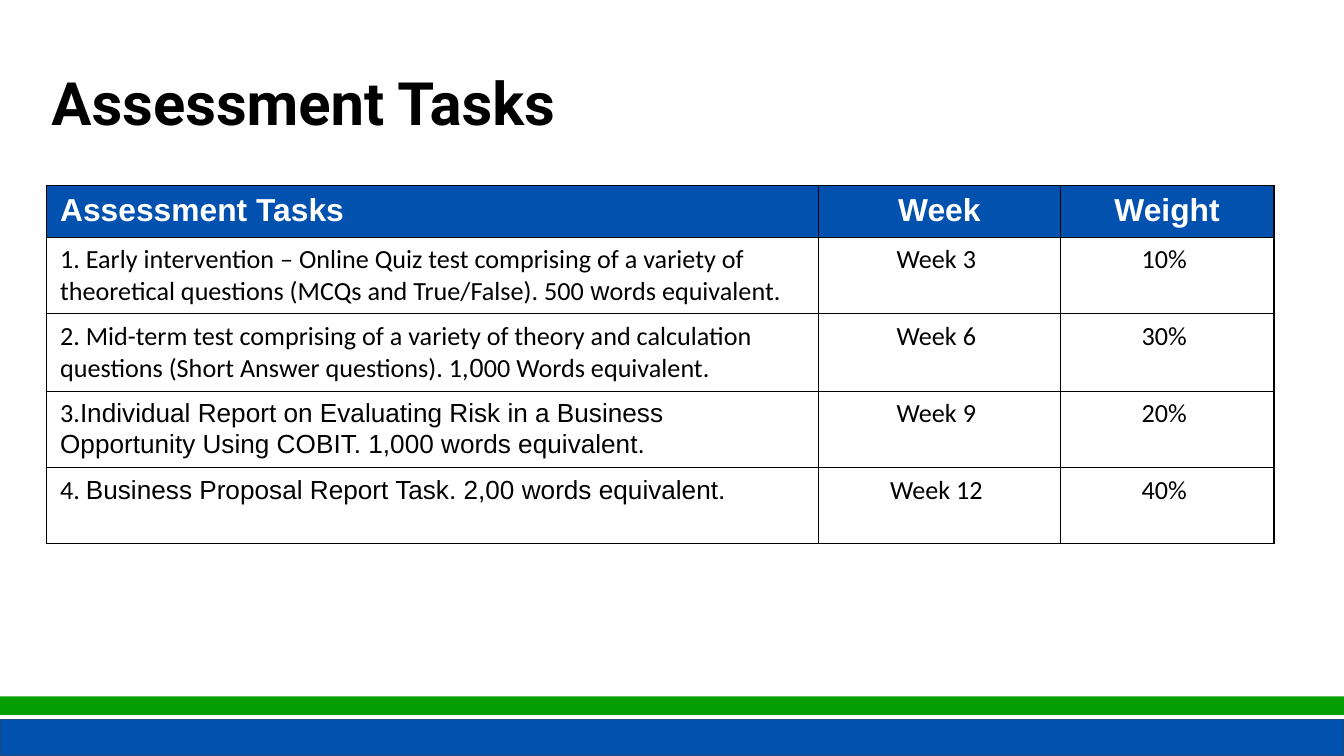
from pptx import Presentation
from pptx.dml.color import RGBColor
from pptx.enum.shapes import MSO_SHAPE
from pptx.enum.text import MSO_ANCHOR, MSO_AUTO_SIZE, PP_ALIGN
from pptx.oxml import parse_xml
from pptx.oxml.ns import nsdecls
from pptx.util import Pt

COLORS = {
    "blue": "0251AF",
    "green": "059D05",
    "outline": "1F497D",
    "text": "000000",
    "paper": "FFFFFF",
}
SLIDE_WIDTH, SLIDE_HEIGHT = 720, 405
COLUMN_WIDTHS = [413.5, 129.5, 114.5]
ROW_HEIGHTS = [27.5, 41, 41.5, 41, 40.5]

HEADINGS = ["Assessment Tasks ", "Week", "Weight"]
TASKS = [
    ([("1. Early intervention – Online Quiz test comprising of a variety of "
       "theoretical questions (MCQs and True/False). 500 ", "Calibri"),
      ("w", "Arial"), ("ords equivalent. ", "Calibri")], "Week 3 ", "10% "),
    ([("2. Mid-term test comprising of a variety of theory and calculation "
       "questions (Short Answer questions). 1,", "Calibri"),
      ("0", "Arial"), ("00 Words equivalent. ", "Calibri")], "Week 6 ", "30% "),
    ([("3.", "Calibri"),
      ("Individual Report on Evaluating Risk in a Business Opportunity Using "
       "COBIT. 1,000 words equivalent.", "Arial")], "Week 9 ", "20% "),
    ([("4. ", "Calibri"),
      ("Business Proposal Report Task. 2,00 words equivalent.", "Arial")],
     "Week 12 ", "40% "),
]


def rgb(name):
    return RGBColor.from_string(COLORS[name])


def add_run(paragraph, text, font_name, size, color, bold=False):
    run = paragraph.add_run()
    run.text = text
    font = run.font
    font.name, font.size, font.bold = font_name, Pt(size), bold
    font.color.rgb = rgb(color)


def place_title(slide, left, top, width, height):
    title = slide.shapes.title
    title.left, title.top = Pt(left), Pt(top)
    title.width, title.height = Pt(width), Pt(height)
    frame = title.text_frame
    frame.margin_left = frame.margin_top = frame.margin_right = frame.margin_bottom = 0
    frame.vertical_anchor = MSO_ANCHOR.TOP
    frame.word_wrap = True
    frame.auto_size = MSO_AUTO_SIZE.SHAPE_TO_FIT_TEXT
    paragraph = frame.paragraphs[0]
    paragraph.alignment = PP_ALIGN.LEFT
    paragraph.line_spacing = 1.2
    add_run(paragraph, "Assessment Tasks", "Roboto", 32, "text", True)


def add_band(slide, left, top, width, height, color, outline=None):
    band = slide.shapes.add_shape(
        MSO_SHAPE.RECTANGLE, Pt(left), Pt(top), Pt(width), Pt(height))
    band.shadow.inherit = False
    band.fill.solid()
    band.fill.fore_color.rgb = rgb(color)
    if outline:
        band.line.color.rgb = rgb(outline)
        band.line.width = Pt(0.75)
    else:
        band.line.fill.background()


def add_footer(slide, left, top, width, height):
    blue_height = 19.5
    add_band(slide, left, top + height - blue_height, width, blue_height, "blue", "outline")
    add_band(slide, left, top, width, 10, "green")


def format_cell(cell, fill, side_margin):
    properties = cell._tc.get_or_add_tcPr()
    for side in ("lnL", "lnR", "lnT", "lnB"):
        properties.append(parse_xml(
            f'<a:{side} {nsdecls("a")} w="{Pt(0.75)}"><a:solidFill>'
            f'<a:srgbClr val="{COLORS["text"]}"/></a:solidFill></a:{side}>'))
    cell.fill.solid()
    cell.fill.fore_color.rgb = rgb(fill)
    cell.margin_left = cell.margin_right = Pt(side_margin)
    cell.margin_top = cell.margin_bottom = Pt(3.6)


def add_task_table(slide, left, top, width, height):
    table = slide.shapes.add_table(
        len(ROW_HEIGHTS), len(COLUMN_WIDTHS),
        Pt(left), Pt(top), Pt(width), Pt(height)).table
    for column, column_width in zip(table.columns, COLUMN_WIDTHS):
        column.width = Pt(column_width)
    for row, row_height in zip(table.rows, ROW_HEIGHTS):
        row.height = Pt(row_height)

    for index, heading in enumerate(HEADINGS):
        cell = table.cell(0, index)
        format_cell(cell, "blue", 7.2)
        paragraph = cell.text_frame.paragraphs[0]
        paragraph.alignment = PP_ALIGN.CENTER if index else PP_ALIGN.LEFT
        add_run(paragraph, heading, "Arial", 17, "paper", True)

    for row_index, (description, week, weight) in enumerate(TASKS, 1):
        contents = [description, [(week, "Calibri")], [(weight, "Calibri")]]
        for index, runs in enumerate(contents):
            cell = table.cell(row_index, index)
            format_cell(cell, "paper", 3.6 if index else 7.2)
            paragraph = cell.text_frame.paragraphs[0]
            paragraph.alignment = PP_ALIGN.CENTER if index else PP_ALIGN.LEFT
            for text, font_name in runs:
                add_run(paragraph, text, font_name, 14, "text")


def main():
    presentation = Presentation()
    presentation.slide_width = Pt(SLIDE_WIDTH)
    presentation.slide_height = Pt(SLIDE_HEIGHT)
    slide = presentation.slides.add_slide(presentation.slide_layouts[5])
    place_title(slide, 27.5, 27.5, 646, 39)
    add_footer(slide, 0, 373, SLIDE_WIDTH, SLIDE_HEIGHT - 373)
    add_task_table(slide, 25, 99.5, sum(COLUMN_WIDTHS), sum(ROW_HEIGHTS))
    presentation.save("out.pptx")


if __name__ == "__main__":
    main()
